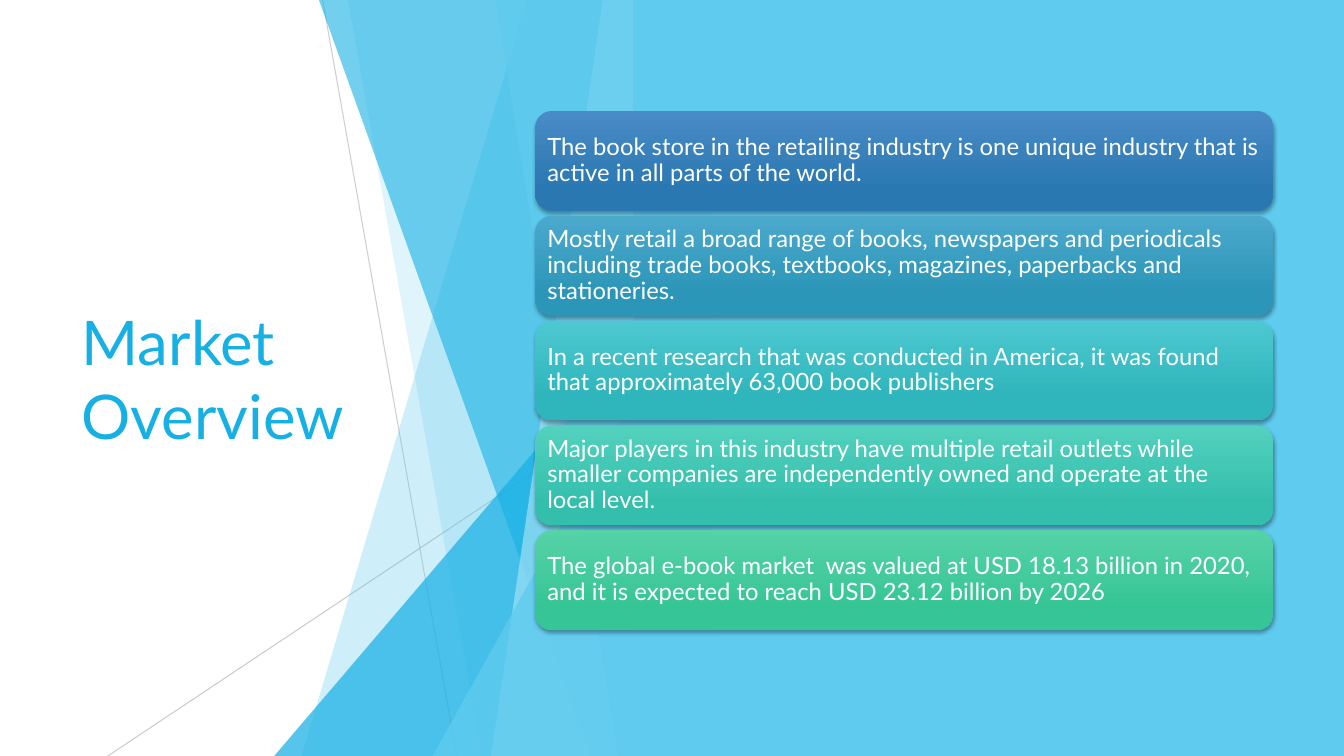
from lxml.etree import SubElement
from pptx import Presentation
from pptx.dml.color import RGBColor
from pptx.enum.shapes import MSO_CONNECTOR, MSO_SHAPE
from pptx.enum.text import MSO_ANCHOR, MSO_AUTO_SIZE, PP_ALIGN
from pptx.oxml.ns import qn
from pptx.util import Pt

PX = 9144  # EMU per px, 100 px to the inch
WIDTH, HEIGHT = 1333, 750
PANEL_LEFT = 628
FACET_TOP = -1

THEME = {
    "font": "Lato",
    "title_size": Pt(44),
    "card_size": Pt(17),
    "sky": "5FCBEF",
    "azure": "17B0E4",
    "pale": "9FE0F5",
    "grey": "BFBFBF",
    "white": "FFFFFF",
}


def set_opacity(part, percent):
    color = part._element.spPr.find(".//" + qn("a:srgbClr"))
    SubElement(color, qn("a:alpha")).set("val", str(percent * 1000))


def style_text(frame, size, color):
    frame.word_wrap = True
    frame.auto_size = MSO_AUTO_SIZE.NONE
    frame.vertical_anchor = MSO_ANCHOR.MIDDLE
    paragraph = frame.paragraphs[0]
    paragraph.alignment = PP_ALIGN.LEFT
    font = paragraph.runs[0].font
    font.name, font.size = THEME["font"], size
    font.color.rgb = RGBColor.from_string(color)


prs = Presentation()
prs.slide_width, prs.slide_height = WIDTH * PX, HEIGHT * PX
slide = prs.slides.add_slide(prs.slide_layouts[5])
shapes = slide.shapes

# Thin diagonal lines: from x, from y, to x, to y, opacity
for *ends, opacity in [(320, 0, 453, HEIGHT, 75), (PANEL_LEFT, 403, 107, HEIGHT, 80)]:
    diagonal = shapes.add_connector(MSO_CONNECTOR.STRAIGHT, *(end * PX for end in ends))
    diagonal.line.width = Pt(0.75)
    diagonal.line.color.rgb = RGBColor.from_string(THEME["grey"])
    set_opacity(diagonal, opacity)
    SubElement(diagonal._element.spPr, qn("a:effectLst"))

# Facets ending at the panel: top x, top y, bottom x, colour, opacity
facets = [
    (523, FACET_TOP, 299, "sky", 30),
    (345, FACET_TOP, 478, "sky", 20),
    (PANEL_LEFT, 333, 272, "azure", 72),
    (316, FACET_TOP, 586, "azure", 60),
    (598, FACET_TOP, 487, "pale", 70),
    (491, FACET_TOP, 613, "sky", 65),
    (PANEL_LEFT, 393, 429, "sky", 80),
]
for top_x, top_y, bottom_x, color, opacity in facets:
    if top_x == PANEL_LEFT:
        facet = shapes.add_shape(
            MSO_SHAPE.ISOSCELES_TRIANGLE, bottom_x * PX, top_y * PX,
            (PANEL_LEFT - bottom_x) * PX, (HEIGHT - top_y) * PX)
        facet.adjustments[0] = 1
    else:
        outline = shapes.build_freeform(top_x, top_y, scale=PX)
        outline.add_line_segments(
            [(PANEL_LEFT, top_y), (PANEL_LEFT, HEIGHT), (bottom_x, HEIGHT)], close=True)
        facet = outline.convert_to_shape()
    facet.fill.solid()
    facet.fill.fore_color.rgb = RGBColor.from_string(THEME[color])
    facet.line.fill.background()
    facet.shadow.inherit = False
    set_opacity(facet, opacity)

# Title, raised above the facets
title = shapes.title
shapes._spTree.append(title._element)
title.left, title.top, title.width, title.height = (
    length * PX for length in (71, 151, 388, 448))
title.text_frame.text = "Market Overview"
style_text(title.text_frame, THEME["title_size"], THEME["azure"])

panel = shapes.add_shape(
    MSO_SHAPE.RECTANGLE, PANEL_LEFT * PX, 0, (WIDTH - PANEL_LEFT) * PX, HEIGHT * PX)
panel.fill.solid()
panel.fill.fore_color.rgb = RGBColor.from_string(THEME["sky"])
panel.line.fill.background()
panel.shadow.inherit = False

# Cards: gradient top colour, gradient bottom colour, statement
CARD_LEFT, CARD_TOP, CARD_WIDTH, CARD_HEIGHT, CARD_STEP = 531, 110, 732, 99, 104
CARD_INSET = 7
cards = [
    ("4A8BC6", "2A78B2", "The book store in the retailing industry is one unique "
     "industry that is active in all parts of the world."),
    ("4BA9CC", "2C96B8", "Mostly retail a broad range of books, newspapers and periodicals "
     "including trade books, textbooks, magazines, paperbacks and stationeries."),
    ("4DC8D0", "2FB5BC", "In a recent research that was conducted in America, it was found "
     "that approximately 63,000 book publishers"),
    ("52D1BE", "34BFAC", "Major players in this industry have multiple retail outlets while "
     "smaller companies are independently owned and operate at the local level."),
    ("56D2A7", "36C596", "The global e-book market  was valued at USD 18.13 billion in 2020, "
     "and it is expected to reach USD 23.12 billion by 2026"),
]
for row, (upper, lower, statement) in enumerate(cards):
    card = shapes.add_shape(
        MSO_SHAPE.ROUNDED_RECTANGLE, CARD_LEFT * PX, (CARD_TOP + row * CARD_STEP) * PX,
        CARD_WIDTH * PX, CARD_HEIGHT * PX)
    card.fill.gradient()
    card.fill.gradient_angle = 270
    for stop, color, position in zip(card.fill.gradient_stops, (upper, lower), (0, 0.78)):
        stop.color.rgb = RGBColor.from_string(color)
        stop.position = position
    card.line.fill.background()

    card.shadow.inherit = False
    effects = card._element.spPr.find(qn("a:effectLst"))
    shadow = SubElement(effects, qn("a:outerShdw"), blurRad=str(Pt(3)), dist=str(Pt(2)),
                        dir="5400000", rotWithShape="0")
    shade = SubElement(shadow, qn("a:srgbClr"), val="000000")
    SubElement(shade, qn("a:alpha"), val="35000")

    frame = card.text_frame
    frame.text = statement
    frame.margin_left = frame.margin_right = CARD_INSET * PX
    frame.margin_top = frame.margin_bottom = CARD_INSET * PX
    frame.paragraphs[0].line_spacing = 0.9
    style_text(frame, THEME["card_size"], THEME["white"])

prs.save("out.pptx")
